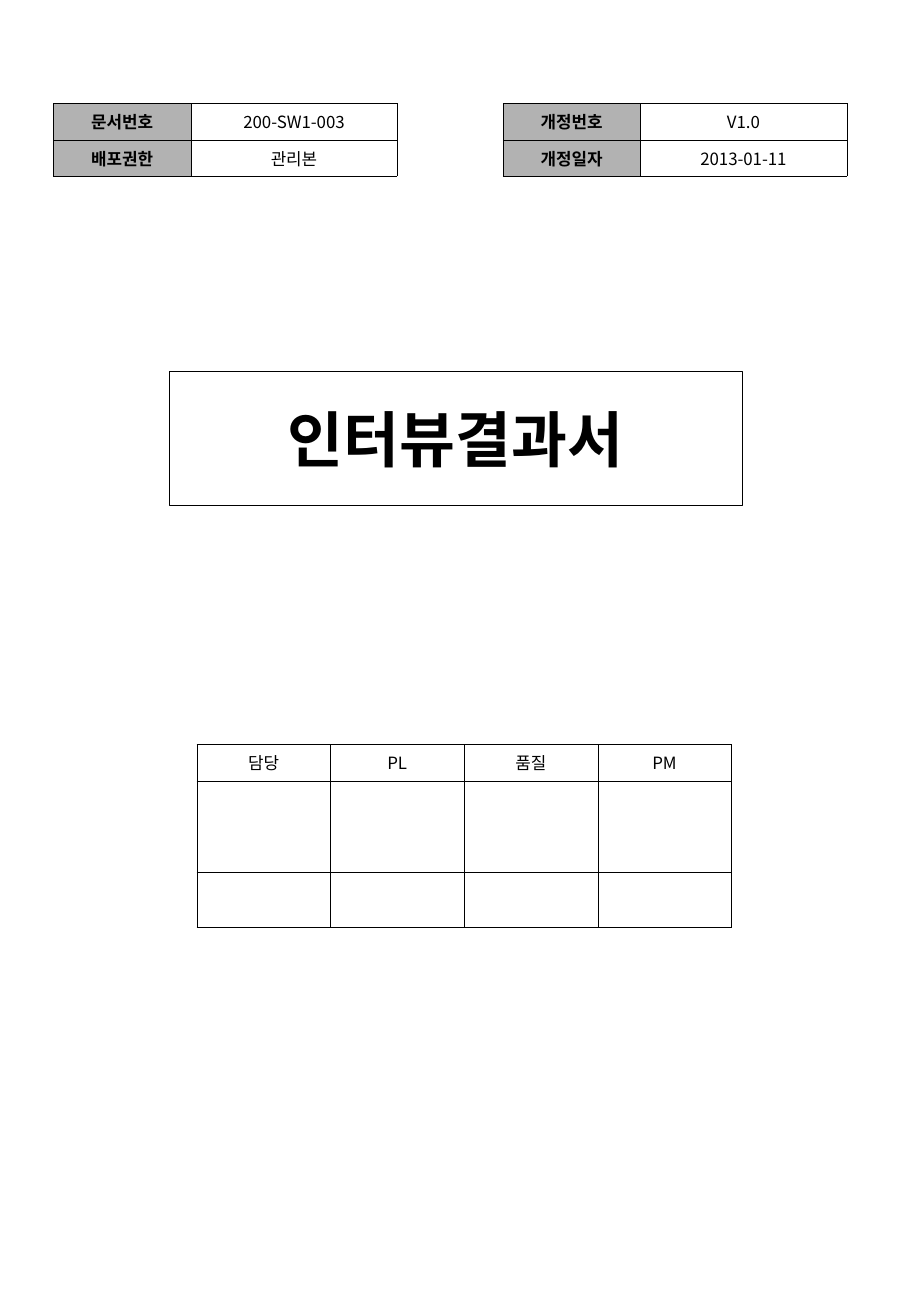
"""Build the cover page of an interview report with document and approval tables."""
import dataclasses

import lxml.etree
import pptx
import pptx.dml.color
import pptx.enum.shapes
import pptx.enum.text
import pptx.oxml.ns
import pptx.util


@dataclasses.dataclass(frozen=True)
class Theme:
    font: str = "Noto Sans CJK KR"
    ink: str = "000000"
    paper: str = "FFFFFF"
    label: str = "B2B2B2"
    title_size: float = 36
    cell_size: float = 10
    cell_space: float = 2.5
    title_line: float = 0.25
    cell_line: float = 0.11


THEME = Theme()
PAGE_WIDTH, PAGE_HEIGHT = 7.5, 10.84
HEADER_ROW = 0.3


def write_text(frame, text, size=THEME.cell_size, bold=False, space=0):
    para = frame.paragraphs[0]
    para.alignment = pptx.enum.text.PP_ALIGN.CENTER
    para.space_before = pptx.util.Pt(space)
    span = para.add_run()
    span.text = text
    span.font.name = THEME.font
    span.font.size = pptx.util.Pt(size)
    span.font.bold = bold
    span.font.color.rgb = pptx.dml.color.RGBColor.from_string(THEME.ink)
    east_asian = lxml.etree.SubElement(span.font._element, pptx.oxml.ns.qn("a:ea"))
    east_asian.set("typeface", THEME.font)


def add_grid(page, left, top, columns, rows, texts, labelled=False):
    lengths = [pptx.util.Inches(n) for n in (left, top, sum(columns), sum(rows))]
    table = page.shapes.add_table(len(rows), len(columns), *lengths).table
    table.first_row = table.horz_banding = False
    for column, width in zip(table.columns, columns):
        column.width = pptx.util.Inches(width)
    for row, height in zip(table.rows, rows):
        row.height = pptx.util.Inches(height)
    for index, cell in enumerate(table.iter_cells()):
        is_label = labelled and index % len(columns) == 0
        cell.vertical_anchor = pptx.enum.text.MSO_ANCHOR.MIDDLE
        cell.margin_left = cell.margin_right = pptx.util.Inches(0.1)
        properties = cell._tc.get_or_add_tcPr()
        for side in "LRTB":
            border = lxml.etree.SubElement(properties, pptx.oxml.ns.qn(f"a:ln{side}"))
            border.set("w", str(int(pptx.util.Pt(THEME.cell_line))))
            solid = lxml.etree.SubElement(border, pptx.oxml.ns.qn("a:solidFill"))
            color = lxml.etree.SubElement(solid, pptx.oxml.ns.qn("a:srgbClr"))
            color.set("val", THEME.ink)
        if is_label:
            cell.fill.solid()
            cell.fill.fore_color.rgb = pptx.dml.color.RGBColor.from_string(THEME.label)
        else:
            cell.fill.background()
        if index < len(texts):
            write_text(cell.text_frame, texts[index], bold=is_label, space=THEME.cell_space)


deck = pptx.Presentation()
deck.slide_width = pptx.util.Inches(PAGE_WIDTH)
deck.slide_height = pptx.util.Inches(PAGE_HEIGHT)
page = deck.slides.add_slide(deck.slide_layouts[6])

add_grid(page, 1.62, 6.13, [1.1] * 4, [HEADER_ROW, 0.75, 0.46], ["담당", "PL", "품질", "PM"])

title_place = [pptx.util.Inches(n) for n in (1.39, 3.06, 4.72, 1.1)]
title_box = page.shapes.add_shape(pptx.enum.shapes.MSO_SHAPE.RECTANGLE, *title_place)
title_box.shadow.inherit = False
title_box.fill.solid()
title_box.fill.fore_color.rgb = pptx.dml.color.RGBColor.from_string(THEME.paper)
title_box.line.color.rgb = pptx.dml.color.RGBColor.from_string(THEME.ink)
title_box.line.width = pptx.util.Pt(THEME.title_line)
title_box.text_frame.word_wrap = True
title_box.text_frame.vertical_anchor = pptx.enum.text.MSO_ANCHOR.MIDDLE
write_text(title_box.text_frame, "인터뷰결과서", size=THEME.title_size, bold=True)

document_tables = [
    ["문서번호", "200-SW1-003", "배포권한", "관리본"],
    ["개정번호", "V1.0", "개정일자", "2013-01-11"],
]
for position, texts in enumerate(document_tables):
    add_grid(page, 0.44 + 3.7 * position, 0.85, [1.13, 1.7], [HEADER_ROW] * 2, texts, labelled=True)

deck.save("out.pptx")
